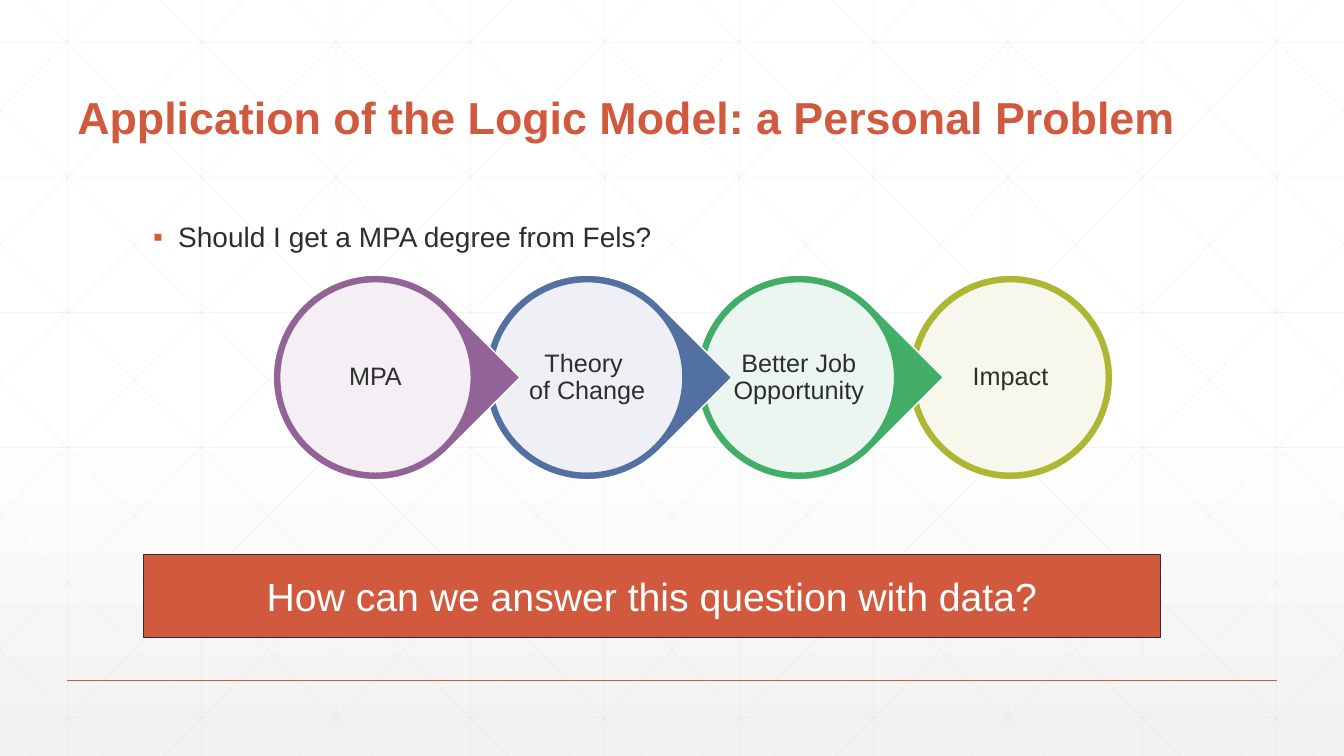
from pptx import Presentation
from pptx.util import Inches, Pt
from pptx.dml.color import RGBColor
from pptx.enum.shapes import MSO_CONNECTOR, MSO_SHAPE
from pptx.enum.text import MSO_ANCHOR, MSO_AUTO_SIZE, PP_ALIGN
from pptx.oxml.ns import qn
from lxml import etree
from copy import deepcopy

LINE, RECT = MSO_CONNECTOR.STRAIGHT, MSO_SHAPE.RECTANGLE
OVAL, TEAR = MSO_SHAPE.OVAL, MSO_SHAPE.TEAR
LEFT, CENTER = PP_ALIGN.LEFT, PP_ALIGN.CENTER
TOP, MIDDLE, BOTTOM = MSO_ANCHOR.TOP, MSO_ANCHOR.MIDDLE, MSO_ANCHOR.BOTTOM
NO_FIT = MSO_AUTO_SIZE.NONE

W, H = 13.333, 7.5
CELL = W / 10
ORANGE, DARK, GREY, WHITE = "D15A3E", "2D2E2D", "D9D9D9", "FFFFFF"
rgb = RGBColor.from_string


def write(shape, text, size, color, bold=False, align=LEFT, anchor=TOP,
          spacing=0.9, inset=None):
    tf = shape.text_frame
    tf.word_wrap, tf.auto_size, tf.vertical_anchor = True, NO_FIT, anchor
    if inset is not None:
        tf.margin_left = tf.margin_right = Inches(inset)
        tf.margin_top = tf.margin_bottom = Inches(inset)
    tf.text = text
    p = tf.paragraphs[0]
    p.alignment, p.line_spacing = align, spacing
    for r in p.runs:
        r.font.name, r.font.size, r.font.bold = "Arial", Pt(size), bold
        r.font.color.rgb = rgb(color)
    return p


def paint(shape, line, width, fill=None, alpha=None):
    shape.line.color.rgb, shape.line.width = rgb(line), Pt(width)
    if fill:
        shape.shadow.inherit = False
        shape.fill.solid()
        shape.fill.fore_color.rgb = rgb(fill)
    else:
        etree.SubElement(shape._element.spPr, qn("a:effectLst"))
    if alpha:
        clr = shape._element.spPr.find(".//" + qn("a:srgbClr"))
        etree.SubElement(clr, qn("a:alpha"), val=str(alpha * 1000))


prs = Presentation()
prs.slide_width, prs.slide_height = Inches(W), Inches(H)
s = prs.slides.add_slide(prs.slide_layouts[5])

# Background: white fading to light grey at the foot
bg = s.background.fill
bg.gradient()
bg.gradient_angle = 270
stops = s._element.find(".//" + qn("a:gsLst"))
stops.append(deepcopy(stops[0]))
for stop, (position, color) in zip(bg.gradient_stops,
                                   [(0, WHITE), (0.53, WHITE), (1, "F2F2F2")]):
    stop.position, stop.color.rgb = position, rgb(color)

# Grid of verticals, horizontals and mirrored diagonals cut at the slide edge
grid = [(CELL * (i + 0.5), 0, CELL * (i + 0.5), H) for i in range(10)]
grid += [(0, 0.42 + 1.34 * i, W, 0.42 + 1.34 * i) for i in range(6)]
RUN = 7.46
for i in range(-5, 10):
    x = 0.25 + CELL * i
    x1, x2 = max(x, 0), min(x + RUN, W)
    y1, y2 = (x1 - x) * H / RUN, (x2 - x) * H / RUN
    grid += [(x1, y1, x2, y2), (W - x1, y1, W - x2, y2)]
for ends in grid:
    line = s.shapes.add_connector(LINE, *map(Inches, ends))
    paint(line, GREY, 0.5, alpha=25)

# Footer rule
rule = s.shapes.add_connector(LINE, *map(Inches, (CELL / 2, 0.9 * H, W - CELL / 2, 0.9 * H)))
paint(rule, ORANGE, 1)

# Chain of circles, drawn from the right so each tip overlaps the next
steps = [("MPA", "926397"), ("Theory \vof Change", "5270A2"),
         ("Better Job\vOpportunity", "42AD67"), ("Impact", "AEB733")]
OUTER, INNER, PITCH = 2.03, 1.9, 2.1
GAP = (OUTER - INNER) / 2
for i, (label, color) in reversed(list(enumerate(steps))):
    x, y = 2.71 + PITCH * i, 2.73
    last = i == len(steps) - 1
    ring = s.shapes.add_shape(OVAL if last else TEAR, *map(Inches, (x, y, OUTER, OUTER)))
    paint(ring, WHITE, 1, color)
    if not last:
        ring.rotation = 45
    disc = s.shapes.add_shape(OVAL, *map(Inches, (x + GAP, y + GAP, INNER, INNER)))
    paint(disc, color, 1, WHITE, alpha=90)
    write(disc, label, 18, DARK, align=CENTER, anchor=MIDDLE, inset=0)

# Title, brought in front of the grid
title = s.shapes.title
title.left, title.top, title.width, title.height = map(Inches, (CELL / 2, 0.23, 11.18, 1.25))
write(title, "Application of the Logic Model: a Personal Problem", 32, ORANGE,
      bold=True, anchor=BOTTOM)
s.shapes._spTree.append(title._element)

# Bulleted question
question = s.shapes.add_textbox(*map(Inches, (1.42, 2.17, 10.5, 0.5)))
p = write(question, "Should I get a MPA degree from Fels?", 20, DARK)
pPr = p._p.get_or_add_pPr()
pPr.set("marL", str(Inches(0.25)))
pPr.set("indent", str(-Inches(0.25)))
etree.SubElement(etree.SubElement(pPr, qn("a:buClr")), qn("a:srgbClr"), val=ORANGE)
etree.SubElement(pPr, qn("a:buFont"), typeface="Arial")
etree.SubElement(pPr, qn("a:buChar"), char="▪")

# Closing banner
banner = s.shapes.add_shape(RECT, *map(Inches, (1.42, 5.5, 10.09, 0.83)))
paint(banner, DARK, 0.75, ORANGE)
write(banner, "How can we answer this question with data?", 28, WHITE,
      align=CENTER, anchor=MIDDLE, spacing=1.0)

prs.save("out.pptx")
